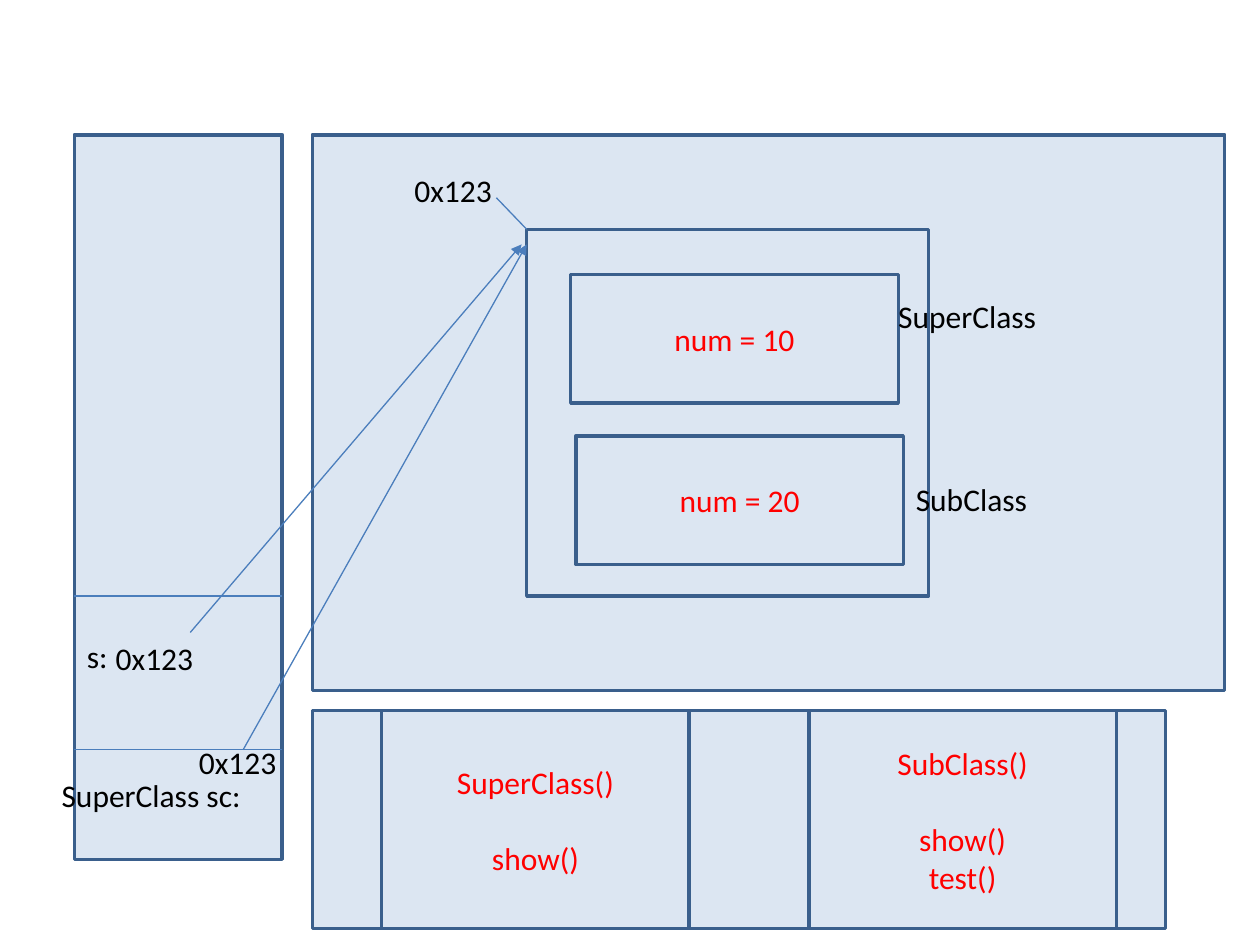
import pptx
import pptx.dml.color
import pptx.enum.shapes
import pptx.enum.text
import pptx.oxml.ns
import pptx.util
from lxml import etree

RGBColor = pptx.dml.color.RGBColor
PANEL = RGBColor(0xDC, 0xE6, 0xF2)
BORDER = RGBColor(0x3A, 0x5F, 0x8C)
LINK = RGBColor(0x4B, 0x7E, 0xBC)
RED = RGBColor(0xFF, 0, 0)
BLACK = RGBColor(0, 0, 0)
FONT = "Calibri"
SIZE = 18
LINE_GAP = 22
SCALE = 9144


def px(n):
    return pptx.util.Emu(n * SCALE)


class Diagram:
    """Draws memory diagram elements on one slide in a shared style."""

    def __init__(self, slide):
        self.shapes = slide.shapes

    def style(self, tf, color, align):
        for p in tf.paragraphs:
            p.alignment = align
            for r in p.runs:
                r.font.name = FONT
                r.font.size = pptx.util.Pt(SIZE)
                r.font.color.rgb = color

    def box(self, x, y, w, h, text="", gap_before=None):
        s = self.shapes.add_shape(
            pptx.enum.shapes.MSO_SHAPE.RECTANGLE, px(x), px(y), px(w), px(h))
        s.shadow.inherit = False
        s.fill.solid()
        s.fill.fore_color.rgb = PANEL
        s.line.color.rgb = BORDER
        s.line.width = pptx.util.Pt(2)
        if text:
            tf = s.text_frame
            tf.text = text
            tf.vertical_anchor = pptx.enum.text.MSO_ANCHOR.MIDDLE
            self.style(tf, RED, pptx.enum.text.PP_ALIGN.CENTER)
            if gap_before is not None:
                tf.paragraphs[gap_before].space_before = pptx.util.Pt(LINE_GAP)

    def label(self, x, y, w, text):
        tf = self.shapes.add_textbox(px(x), px(y), px(w), px(40)).text_frame
        tf.word_wrap = True
        tf.auto_size = pptx.enum.text.MSO_AUTO_SIZE.SHAPE_TO_FIT_TEXT
        tf.text = text
        self.style(tf, BLACK, pptx.enum.text.PP_ALIGN.LEFT)

    def line(self, x1, y1, x2, y2, arrow=False):
        s = self.shapes.add_connector(
            pptx.enum.shapes.MSO_CONNECTOR.STRAIGHT, px(x1), px(y1), px(x2), px(y2))
        s.line.color.rgb = LINK
        s.line.width = pptx.util.Pt(0.75)
        qn = pptx.oxml.ns.qn
        if arrow:
            etree.SubElement(s.line._get_or_add_ln(), qn("a:tailEnd"), type="triangle")
        etree.SubElement(s._element.spPr, qn("a:effectLst"))


def main():
    prs = pptx.Presentation()
    prs.slide_width, prs.slide_height = px(1000), px(750)
    d = Diagram(prs.slides.add_slide(prs.slide_layouts[6]))

    stack_x, stack_w = 59, 165
    heap_x, top = 248, 107
    methods_y, methods_h = 564, 173
    d.box(stack_x, top, stack_w, 575)
    d.box(heap_x, top, 724, 441)
    d.box(heap_x, methods_y, 677, methods_h)
    d.box(303, methods_y, 244, methods_h, "SuperClass()\nshow()", gap_before=1)
    d.box(642, methods_y, 244, methods_h, "SubClass()\nshow()\ntest()", gap_before=1)

    object_x, object_y = 418, 182
    d.box(object_x, object_y, 319, 291)
    d.box(453, 218, 260, 102, "num = 10")
    d.box(457, 346, 260, 102, "num = 20")

    for x, y, w, text in [
        (39, 611, 181, "SuperClass sc:"),
        (703, 231, 201, "SuperClass"),
        (717, 376, 240, "SubClass"),
        (319, 131, 138, "0x123"),
        (148, 585, 138, "0x123"),
        (59, 501, 165, "s:"),
        (82, 502, 138, "0x123"),
    ]:
        d.label(x, y, w, text)

    for y in (473, 595):
        d.line(stack_x, y, stack_x + stack_w, y)
    d.line(object_x, object_y, 394, 157)
    d.line(193, 595, object_x, 194, arrow=True)
    d.line(151, 502, 414, 194, arrow=True)

    prs.save("out.pptx")


if __name__ == "__main__":
    main()
